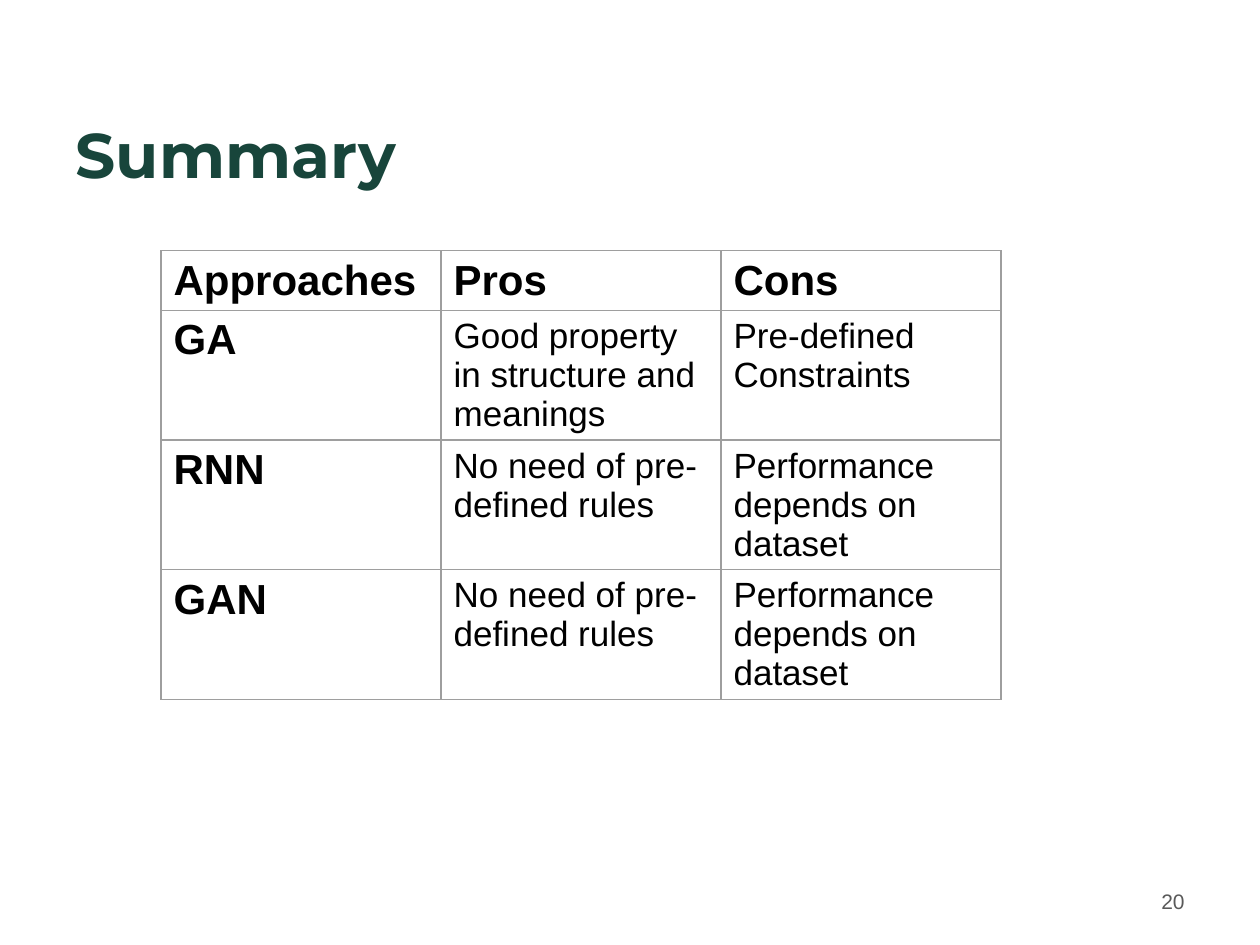
from lxml import etree
from pptx import Presentation
from pptx.dml.color import RGBColor
from pptx.enum.text import MSO_ANCHOR, PP_ALIGN
from pptx.oxml.ns import qn
from pptx.util import Pt

TOP, MIDDLE = MSO_ANCHOR.TOP, MSO_ANCHOR.MIDDLE
LEFT, RIGHT = PP_ALIGN.LEFT, PP_ALIGN.RIGHT


def write(tf, text, size, color="000000", font="Arial", bold=False,
          align=LEFT, anchor=TOP):
    tf.word_wrap = True
    tf.vertical_anchor = anchor
    p = tf.paragraphs[0]
    p.alignment = align
    r = p.add_run()
    r.text = text
    r.font.name, r.font.size, r.font.bold = font, Pt(size), bold
    r.font.color.rgb = RGBColor.from_string(color)


def set_borders(cell, color, width):
    tcPr = cell._tc.get_or_add_tcPr()
    for tag in ("a:lnL", "a:lnR", "a:lnT", "a:lnB"):
        ln = etree.SubElement(tcPr, qn(tag), w=str(Pt(width)))
        fill = etree.SubElement(ln, qn("a:solidFill"))
        etree.SubElement(fill, qn("a:srgbClr"), val=color)


prs = Presentation()
prs.slide_width, prs.slide_height = Pt(720), Pt(540)
s = prs.slides.add_slide(prs.slide_layouts[5])

# Title
title = s.shapes.title
title.left, title.top, title.width, title.height = Pt(36), Pt(59), Pt(648), Pt(77)
tf = title.text_frame
tf.margin_left = tf.margin_right = tf.margin_top = tf.margin_bottom = Pt(7.2)
write(tf, "Summary", 36, "18453B", "Montserrat", bold=True)

# Comparison table
rows = [
    ("Approaches", "Pros", "Cons"),
    ("GA", "Good property in structure and meanings", "Pre-defined Constraints"),
    ("RNN", "No need of pre-defined rules", "Performance depends on dataset"),
    ("GAN", "No need of pre-defined rules", "Performance depends on dataset"),
]
table = s.shapes.add_table(len(rows), 3, Pt(92), Pt(143.3), Pt(480), Pt(256)).table
table.horz_banding = False
for i, row in enumerate(rows):
    table.rows[i].height = Pt(74 if i else 34)
    for j, text in enumerate(row):
        cell = table.cell(i, j)
        heading = i == 0 or j == 0
        write(cell.text_frame, text, 24 if heading else 20, bold=heading)
        set_borders(cell, "9E9E9E", 0.75)
        cell.fill.background()

# Slide number
number = s.shapes.add_textbox(Pt(516), Pt(500.5), Pt(168), Pt(28.8))
write(number.text_frame, "20", 12, "595959", align=RIGHT, anchor=MIDDLE)

prs.save("out.pptx")
